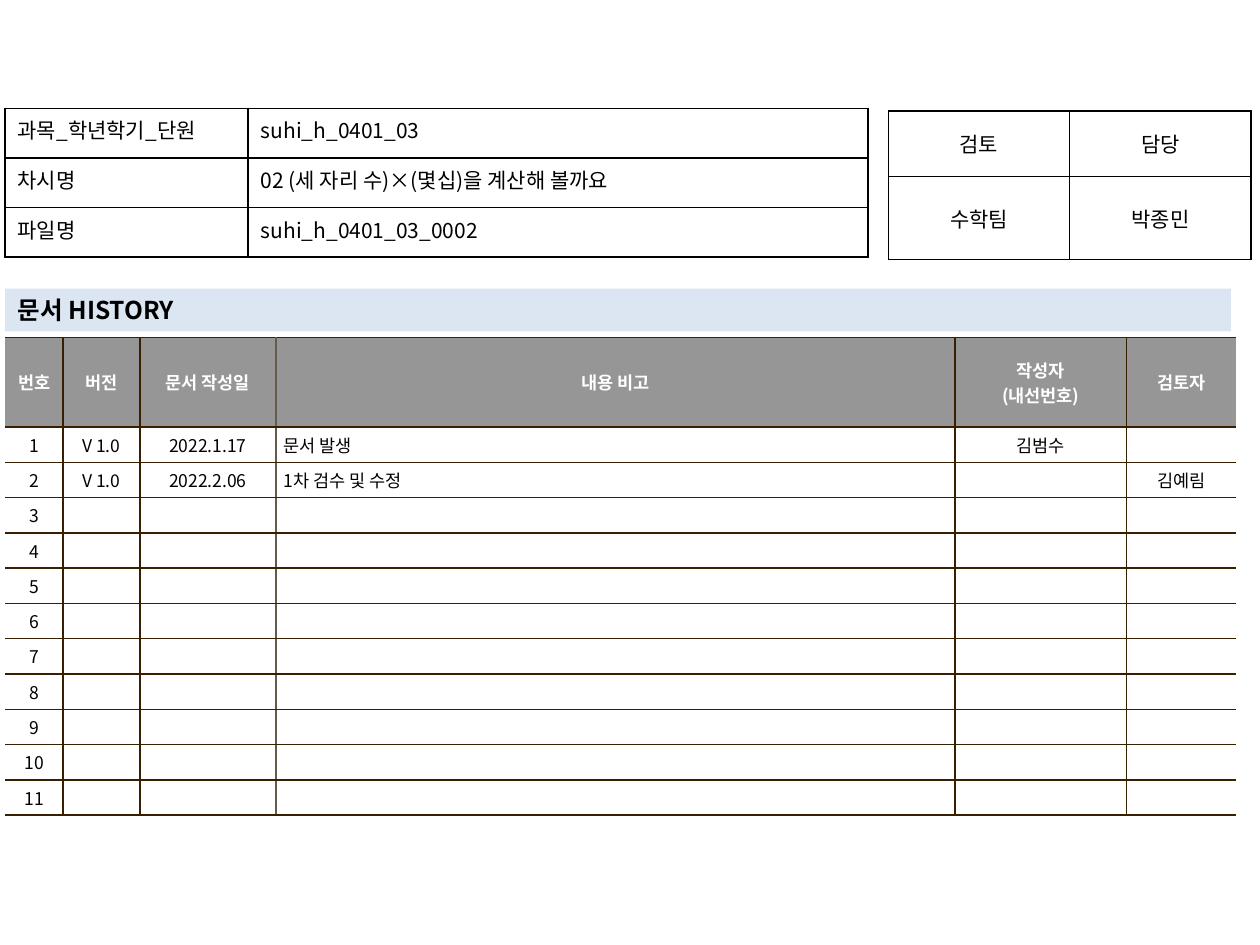
from lxml.etree import SubElement
from pptx import Presentation
from pptx.dml.color import RGBColor
from pptx.enum.text import MSO_ANCHOR, MSO_AUTO_SIZE, PP_ALIGN
from pptx.oxml.ns import qn
from pptx.util import Inches, Pt

# Content
TITLE = "문서 HISTORY"
INFO = [
    ("과목_학년학기_단원", "suhi_h_0401_03"),
    ("차시명", "02 (세 자리 수)×(몇십)을 계산해 볼까요"),
    ("파일명", "suhi_h_0401_03_0002"),
]
SIGN = [("검토", "담당"), ("수학팀", "박종민")]
HEAD = ("번호", "버전", "문서 작성일", "내용 비고", "작성자\n(내선번호)", "검토자")
LOG = [
    ("V 1.0", "2022.1.17", "문서 발생", "김범수", ""),
    ("V 1.0", "2022.2.06", "1차 검수 및 수정", "", "김예림"),
]
COUNT = 11

THEME = {
    "font": "Noto Sans CJK KR",
    "ink": "000000", "paper": "FFFFFF", "bar": "DCE6F2", "head": "969696",
    "rule": "362000", "soft": "645B4C",
    "small": 10, "body": 12, "title": 14,
}
LEFT = 0.04
MID = PP_ALIGN.CENTER


def paint(fill, key):
    fill.solid()
    fill.fore_color.rgb = RGBColor.from_string(THEME[key])


def write(frame, text, size, color="ink", bold=False, align=PP_ALIGN.LEFT):
    for i, line in enumerate(text.split("\n")):
        para = frame.paragraphs[0] if i == 0 else frame.add_paragraph()
        para.alignment = align
        if not line:  # keeps an empty cell from growing its row
            SubElement(para._p, qn("a:endParaRPr"), sz=str(THEME[size] * 100))
            continue
        run = para.add_run()
        run.text = line
        font = run.font
        font.name, font.size, font.bold = THEME["font"], Pt(THEME[size]), bold
        font.color.rgb = RGBColor.from_string(THEME[color])
        SubElement(run._r.get_or_add_rPr(), qn("a:ea"), typeface=THEME["font"])


def edge(cell, sides):
    """Draw the sides in the order left, right, top, bottom."""
    props = cell._tc.get_or_add_tcPr()
    for side, key in zip("LRTB", sides):
        line = SubElement(props, qn("a:ln" + side), w=str(Pt(1)))
        if key:
            fill = SubElement(line, qn("a:solidFill"))
            SubElement(fill, qn("a:srgbClr"), val=THEME[key])
        else:
            SubElement(line, qn("a:noFill"))


def grid(slide, left, top, cols, rows):
    table = slide.shapes.add_table(
        len(rows), len(cols), Inches(left), Inches(top),
        Inches(sum(cols)), Inches(sum(rows))).table
    table.first_row = table.horz_banding = False
    for col, width in zip(table.columns, cols):
        col.width = Inches(width)
    for row, height in zip(table.rows, rows):
        row.height = Inches(height)
    return table


def plain(slide, left, top, cols, rows, data, aligns, anchor):
    """Black-ruled table without fill."""
    table = grid(slide, left, top, cols, rows)
    for r, texts in enumerate(data):
        for c, text in enumerate(texts):
            cell = table.cell(r, c)
            edge(cell, ["ink"] * 4)
            cell.fill.background()
            cell.vertical_anchor = anchor
            write(cell.text_frame, text, "body", align=aligns[c])


def history(slide):
    cols = [0.46, 0.61, 1.08, 5.39, 1.36, 0.87]
    table = grid(slide, LEFT, 2.68, cols, [0.71] + [0.28] * COUNT)
    blank = ("",) * (len(HEAD) - 1)
    data = [HEAD] + [
        (str(n + 1), *(LOG[n] if n < len(LOG) else blank)) for n in range(COUNT)]
    # Vertical rules: open at both ends, softer before the notes
    rules = [None, "rule", "rule", "soft", "rule", "rule", None]
    for r, texts in enumerate(data):
        top = r == 0
        for c, text in enumerate(texts):
            cell = table.cell(r, c)
            edge(cell, [rules[c], rules[c + 1], "rule", "rule"])
            paint(cell.fill, "head" if top else "paper")
            cell.vertical_anchor = MSO_ANCHOR.MIDDLE
            cell.margin_left = cell.margin_right = Inches(0.06)
            cell.margin_top = cell.margin_bottom = Inches(0.04)
            align = PP_ALIGN.LEFT if c == 3 and not top else MID
            write(cell.text_frame, text, "small",
                  "paper" if top else "ink", top, align)


def main():
    deck = Presentation()
    deck.slide_width, deck.slide_height = Inches(10), Inches(7.5)
    slide = deck.slides.add_slide(deck.slide_layouts[5])

    # Heading bar
    bar = slide.shapes.title
    bar.left, bar.top = Inches(LEFT), Inches(2.29)
    bar.width, bar.height = Inches(9.73), Inches(0.34)
    paint(bar.fill, "bar")
    frame = bar.text_frame
    frame.auto_size = MSO_AUTO_SIZE.NONE
    frame.vertical_anchor = MSO_ANCHOR.MIDDLE
    write(frame, TITLE, "title", bold=True)

    # Revision log, sign-off box and document details
    history(slide)
    plain(slide, 7.05, 0.88, [1.44] * 2, [0.52, 0.66], SIGN,
          [MID, MID], MSO_ANCHOR.MIDDLE)
    plain(slide, LEFT, 0.86, [1.93, 4.92], [1.18 / 3] * 3, INFO,
          [PP_ALIGN.JUSTIFY, PP_ALIGN.LEFT], MSO_ANCHOR.TOP)
    deck.save("out.pptx")


if __name__ == "__main__":
    main()
